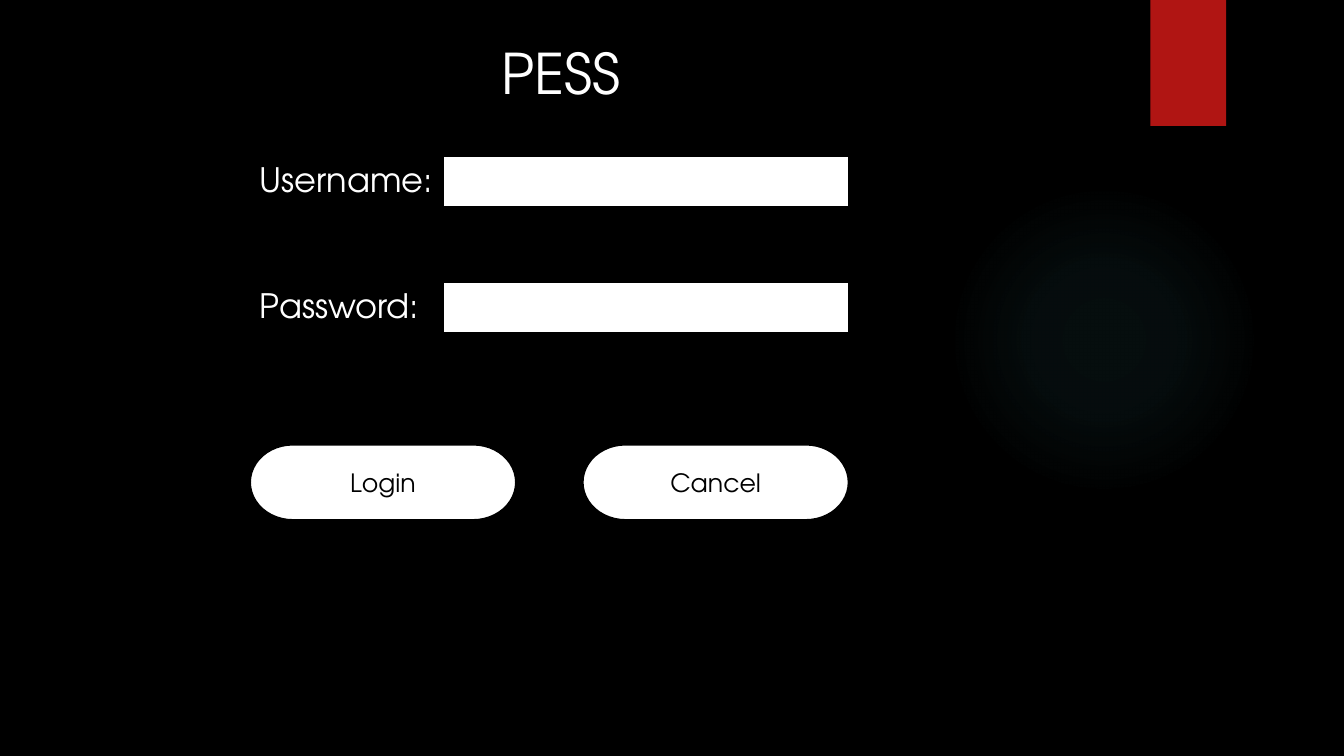
from lxml.etree import SubElement
from pptx import Presentation
from pptx.dml.color import RGBColor
from pptx.enum.shapes import MSO_SHAPE
from pptx.enum.text import MSO_ANCHOR, MSO_AUTO_SIZE, PP_ALIGN
from pptx.oxml.ns import qn
from pptx.util import Inches, Pt

BLACK = RGBColor(0x00, 0x00, 0x00)
WHITE = RGBColor(0xFF, 0xFF, 0xFF)
RED = RGBColor(0xB0, 0x15, 0x13)
TEAL = RGBColor(0x50, 0xB9, 0xC1)

FONT = "TeX Gyre Adventor"
COLS, ROWS = 40, 30


def write(tf, text, size=24, color=WHITE, align=None, anchor=MSO_ANCHOR.TOP):
    tf.vertical_anchor = anchor
    p = tf.paragraphs[0]
    p.alignment = align
    r = p.add_run()
    r.text = text
    r.font.name = FONT
    r.font.size = Pt(size)
    r.font.color.rgb = color


class LoginSlide:
    """Draws on one slide; lengths are columns and rows of the grid."""

    def __init__(self, prs):
        self.col = prs.slide_width / COLS
        self.row = prs.slide_height / ROWS
        self.s = prs.slides.add_slide(prs.slide_layouts[6])
        fill = self.s.background.fill
        fill.solid()
        fill.fore_color.rgb = BLACK

    def box(self, x, y, w, h):
        return (round(x * self.col), round(y * self.row),
                round(w * self.col), round(h * self.row))

    def shape(self, kind, x, y, w, h, fill=WHITE, line=None):
        sp = self.s.shapes.add_shape(kind, *self.box(x, y, w, h))
        sp.shadow.inherit = False
        sp.fill.solid()
        sp.fill.fore_color.rgb = fill
        if line is None:
            sp.line.fill.background()
        else:
            sp.line.color.rgb = line
            sp.line.width = Pt(1.5)
        return sp

    def glow(self, x, y, w, h, color, stops):
        """Radial gradient; stops are (position, opacity) in percent."""
        sp = self.shape(MSO_SHAPE.OVAL, x, y, w, h)
        sp.fill.gradient()
        grad = sp._element.spPr.find(qn("a:gradFill"))
        for child in list(grad):
            grad.remove(child)
        gs_list = SubElement(grad, qn("a:gsLst"))
        for pos, opacity in stops:
            gs = SubElement(gs_list, qn("a:gs"), pos=str(pos * 1000))
            clr = SubElement(gs, qn("a:srgbClr"), val=str(color))
            SubElement(clr, qn("a:alpha"), val=str(opacity * 1000))
        circle = SubElement(grad, qn("a:path"), {"path": "circle"})
        SubElement(circle, qn("a:fillToRect"),
                   {side: "50000" for side in "ltrb"})

    def text(self, text, x, y, w, h, **style):
        tf = self.s.shapes.add_textbox(*self.box(x, y, w, h)).text_frame
        tf.word_wrap = True
        tf.auto_size = MSO_AUTO_SIZE.SHAPE_TO_FIT_TEXT
        write(tf, text, **style)

    def field(self, label, y):
        self.text(label, 7.44, y, 8.82, 2)
        self.shape(MSO_SHAPE.RECTANGLE, 13.17, y + 0.08, 12.09, 2, line=BLACK)

    def button(self, label, x):
        sp = self.shape(MSO_SHAPE.FLOWCHART_TERMINATOR, x, 17.64, 7.92, 3,
                        line=BLACK)
        write(sp.text_frame, label, size=18, color=BLACK,
              align=PP_ALIGN.CENTER, anchor=MSO_ANCHOR.MIDDLE)


def main():
    prs = Presentation()
    prs.slide_width, prs.slide_height = Inches(13.33), Inches(7.5)

    login = LoginSlide(prs)
    login.glow(28.24, 7.32, 9.24, 12.32, TEAL, [(0, 7), (36, 6), (69, 0)])
    login.shape(MSO_SHAPE.RECTANGLE, 34.24, 0, 2.25, 5, fill=RED)
    login.text("PESS", 14.64, 1.32, 9.15, 3.08, size=40)
    for i, label in enumerate(["Username:", "Password:"]):
        login.field(label, 6.12 + 5 * i)
    for i, label in enumerate(["Login", "Cancel"]):
        login.button(label, 7.44 + 9.9 * i)

    prs.save("out.pptx")


if __name__ == "__main__":
    main()
